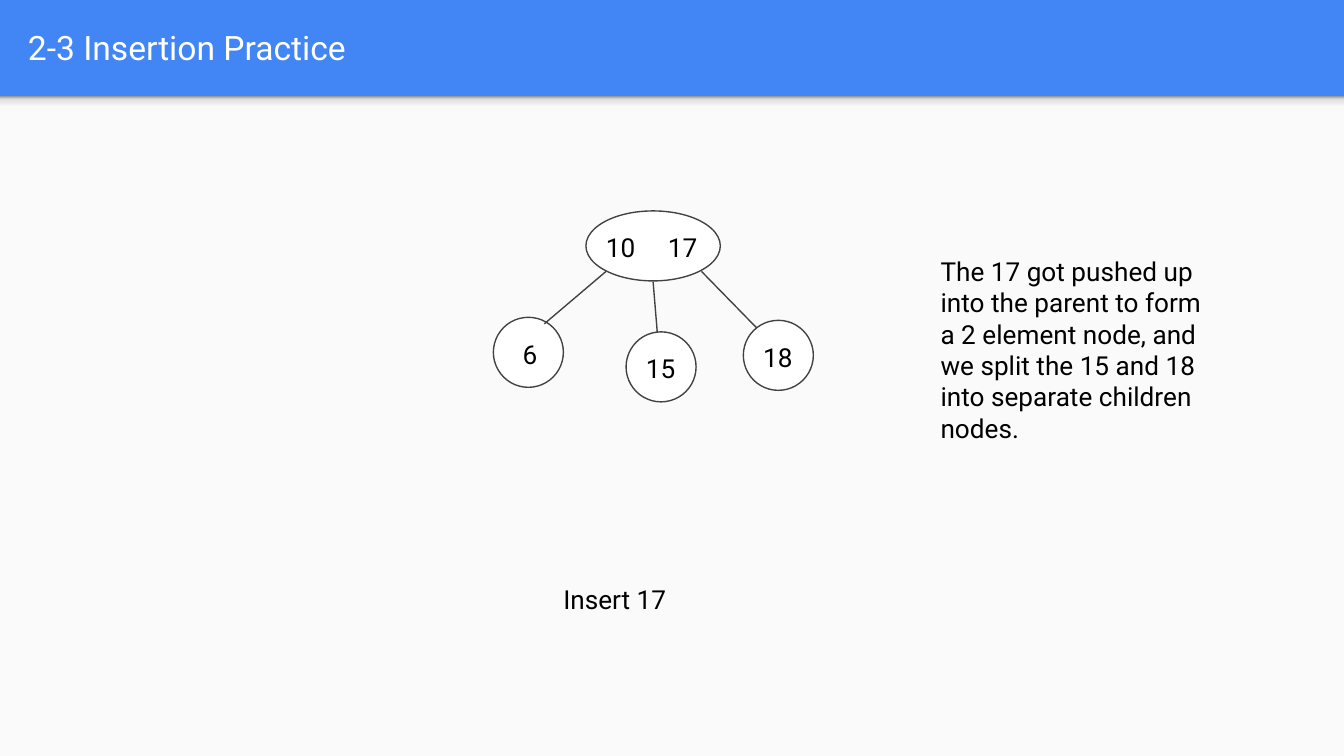
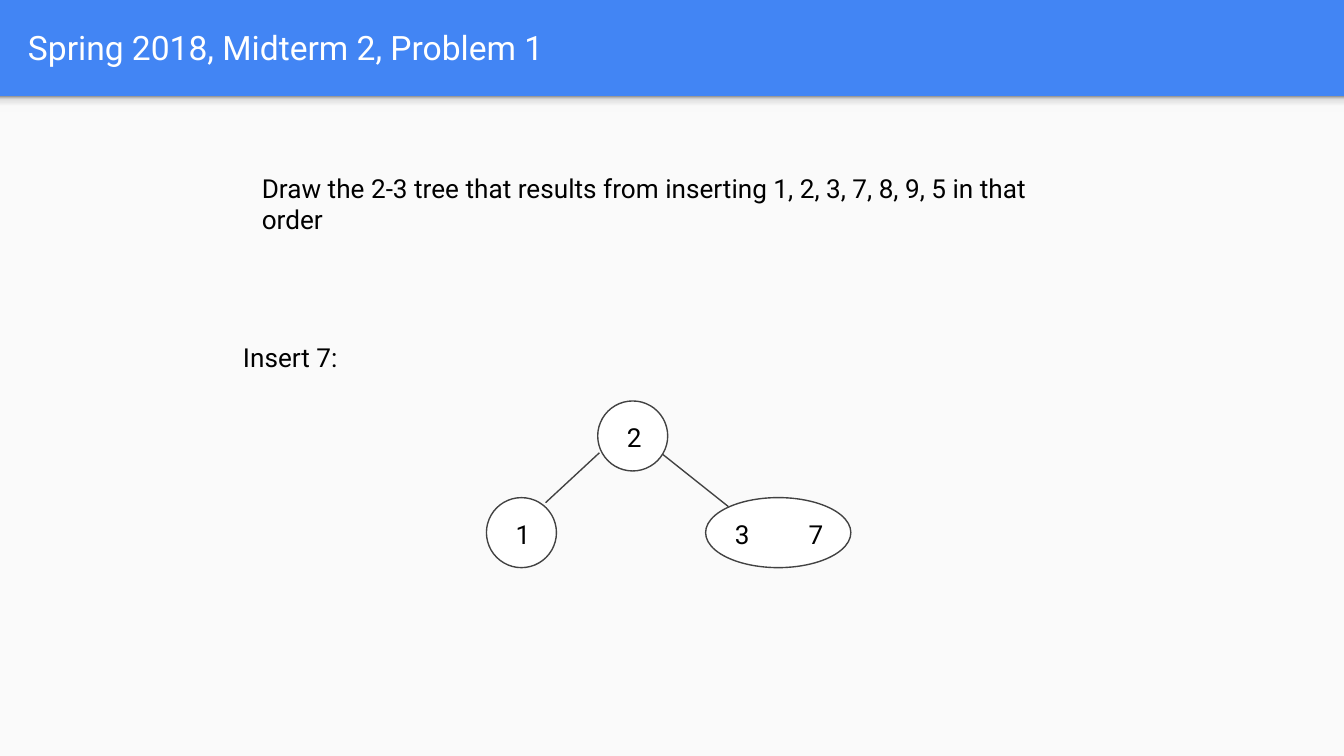
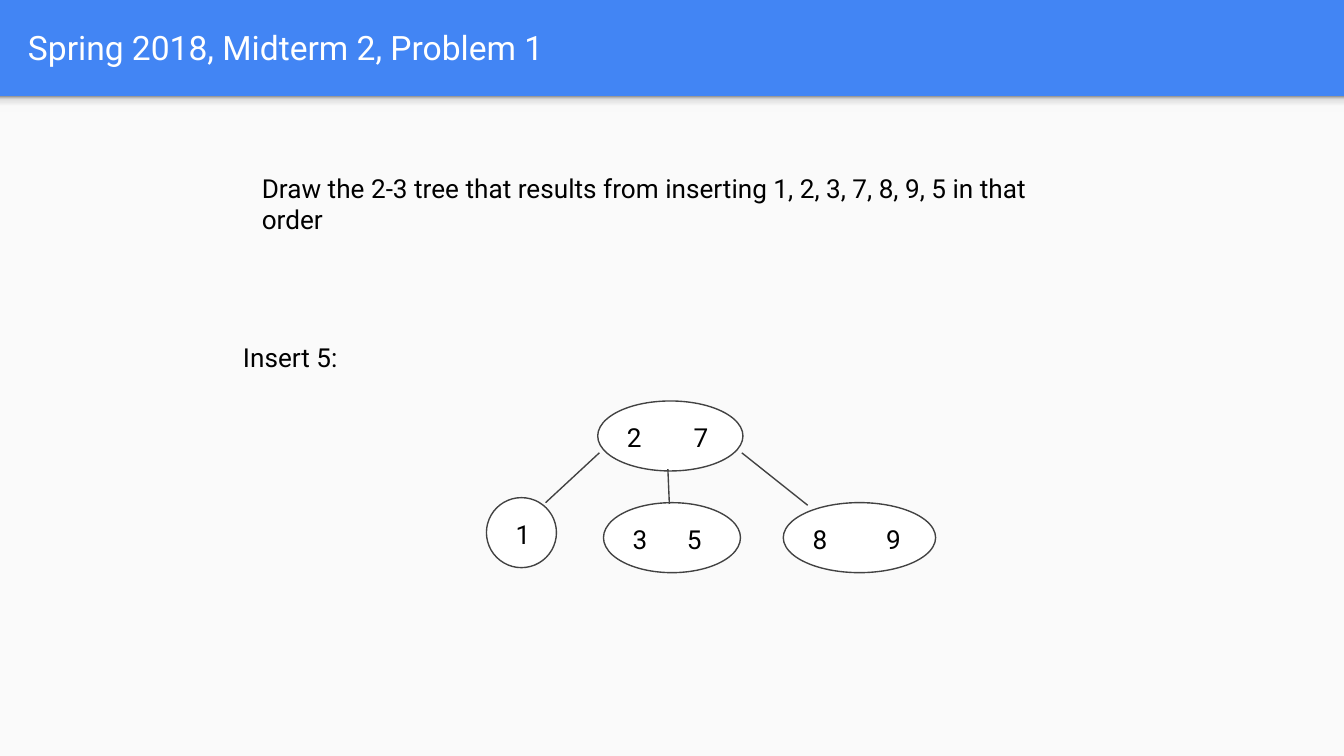
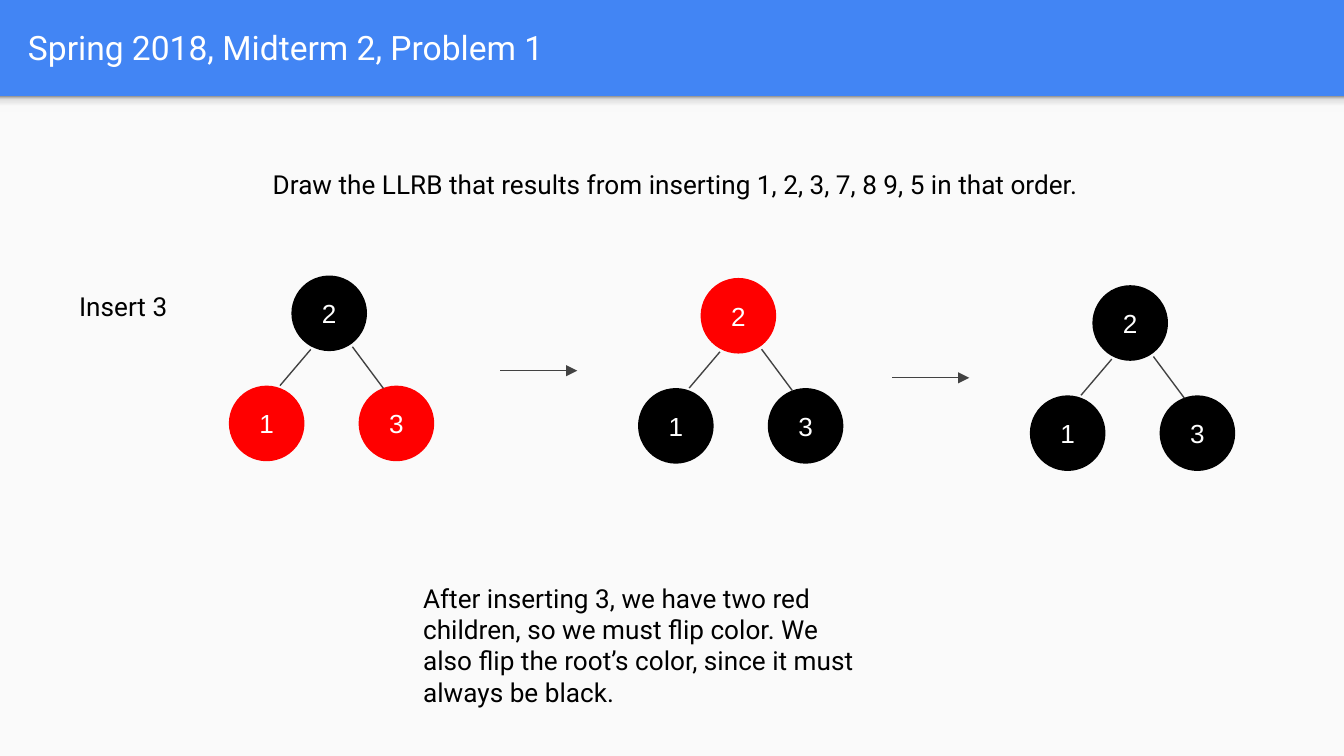
from lxml.etree import SubElement
from pptx import Presentation
from pptx.dml.color import RGBColor
from pptx.enum.shapes import MSO_CONNECTOR, MSO_SHAPE
from pptx.enum.text import MSO_ANCHOR, PP_ALIGN
from pptx.oxml.ns import qn
from pptx.util import Pt

COLORS = {"blue": "4285F4", "panel": "FAFAFA", "line": "424242",
          "white": "FFFFFF", "black": "000000", "red": "FF0000"}
BAND_STOPS = [(0, "F9F9F9"), (36, "F9F9F9"), (80, "DEDEDE"), (100, "999999")]
HEADER = 51.5
NODE = 37.5      # diameter of a one-key node
BALL = 40.5      # diameter of a red or black node


def add_text(slide, text, left, top, width, height, size=14, color="black",
             align=PP_ALIGN.LEFT, anchor=MSO_ANCHOR.TOP, tab=None):
    """Add a wrapped text box; tab is the stop of a second key."""
    s = slide.shapes.add_textbox(Pt(left), Pt(top), Pt(width), Pt(height))
    tf = s.text_frame
    tf.word_wrap = True
    tf.vertical_anchor = anchor
    tf.margin_left = tf.margin_right = tf.margin_top = tf.margin_bottom = Pt(7.2)
    p = tf.paragraphs[0]
    p.text = text
    p.alignment = align
    if tab:
        tabs = SubElement(p._p.get_or_add_pPr(), qn("a:tabLst"))
        SubElement(tabs, qn("a:tab"), pos=str(Pt(tab)), algn="l")
    for r in p.runs:
        r.font.name = "Roboto"
        r.font.size = Pt(size)
        r.font.color.rgb = RGBColor.from_string(COLORS[color])


def add_line(slide, x1, y1, x2, y2, arrow=False):
    c = slide.shapes.add_connector(MSO_CONNECTOR.STRAIGHT, Pt(x1), Pt(y1), Pt(x2), Pt(y2))
    c.line.color.rgb = RGBColor.from_string(COLORS["line"])
    c.line.width = Pt(0.75)
    if arrow:
        SubElement(c.line._get_or_add_ln(), qn("a:tailEnd"), type="triangle")
    SubElement(c._element.spPr, qn("a:effectLst"))


prs = Presentation()
prs.slide_width, prs.slide_height = Pt(720), Pt(405)
bg = prs.slide_master.background.fill
bg.solid()
bg.fore_color.rgb = RGBColor.from_string(COLORS["blue"])

# Header band and title of every slide
EXAM = "Spring 2018, Midterm 2, Problem 1"
slides = []
for title in ["2-3 Insertion Practice", EXAM, EXAM, EXAM]:
    slide = prs.slides.add_slide(prs.slide_layouts[6])
    slides.append(slide)
    panel, shade = [
        slide.shapes.add_shape(MSO_SHAPE.RECTANGLE, 0, Pt(HEADER), Pt(720), Pt(height))
        for height in (405 - HEADER, 8.6)]
    for s in (panel, shade):
        s.shadow.inherit = False
        s.line.fill.background()
    panel.fill.solid()
    panel.fill.fore_color.rgb = RGBColor.from_string(COLORS["panel"])
    shade.fill.gradient()
    shade.fill.gradient_angle = 90
    stops = shade._element.spPr.find(qn("a:gradFill")).find(qn("a:gsLst"))
    stops.clear()
    for percent, color in BAND_STOPS:
        stop = SubElement(stops, qn("a:gs"), pos=str(percent * 1000))
        SubElement(stop, qn("a:srgbClr"), val=color)
    add_text(slide, title, 7.9, 1.4, 694.8, 47.5, size=18, color="white",
             anchor=MSO_ANCHOR.MIDDLE)

practice, insert_7, insert_5, llrb = slides

# Captions
add_text(practice, "Insert 17", 228.2, 305.3, 202.3, 56.9, align=PP_ALIGN.CENTER)
add_text(practice, "The 17 got pushed up into the parent to form a 2 element node, "
         "and we split the 15 and 18 into separate children nodes.",
         496.8, 129.6, 161.3, 48.2)
for slide, step in [(insert_7, "Insert 7:"), (insert_5, "Insert 5:")]:
    add_text(slide, "Draw the 2-3 tree that results from inserting "
             "1, 2, 3, 7, 8, 9, 5 in that order", 133.2, 85, 453.6, 47.5)
    add_text(slide, step, 123.1, 175.7, 119.5, 26.6)
add_text(llrb, "Draw the LLRB that results from inserting 1, 2, 3, 7, 8 9, 5 in that order.",
         139, 82.8, 457.2, 46.8)
add_text(llrb, "Insert 3", 35.3, 148.3, 97.9, 21.6)
add_text(llrb, "After inserting 3, we have two red children, so we must flip color. "
         "We also flip the root’s color, since it must always be black.",
         219.6, 304.6, 249.8, 52.6)

# 2-3 trees: nodes as (keys, left, top, width, tab of second key), then edges
LEFT_LEAF = ("1", 260.6, 266.6, NODE, None)
LEFT_EDGE = (321.1, 242.6, 292.3, 269.3)
trees = [
    (practice,
     [("10\t17", 313.9, 113, 72, 33.2), ("6", 264.3, 170, NODE, None),
      ("15", 335.4, 177.8, NODE, None), ("18", 398.2, 171.6, NODE, None)],
     [(291.6, 173.5, 324.7, 145.4), (405.4, 175.7, 375.8, 145.4),
      (349.9, 151, 352.1, 177.8)]),
    (insert_7,
     [("2", 320.2, 214.8, NODE, None), LEFT_LEAF, ("3\t7", 378, 266.6, 77.8, 39.5)],
     [LEFT_EDGE, (355, 243.4, 390.2, 271.4)]),
    (insert_5,
     [("2\t7", 320.2, 214.8, 77.8, 35.7), LEFT_LEAF,
      ("3\t5", 323.3, 269.3, 73.4, 29), ("8\t9", 419.6, 269.3, 81.6, 39.5)],
     [LEFT_EDGE, (397.4, 242.6, 432.7, 270.7), (357.8, 251.3, 358.6, 270)]),
]
for slide, nodes, edges in trees:
    for keys, left, top, width, tab in nodes:
        s = slide.shapes.add_shape(MSO_SHAPE.OVAL, Pt(left), Pt(top), Pt(width), Pt(NODE))
        s.shadow.inherit = False
        s.fill.solid()
        s.fill.fore_color.rgb = RGBColor.from_string(COLORS["white"])
        s.line.color.rgb = RGBColor.from_string(COLORS["line"])
        s.line.width = Pt(0.75)
        indent = 8.6 if len(keys.split("\t")[0]) == 1 else 3.6
        add_text(slide, keys, left + indent, top + 4, width - indent, 18.7, tab=tab)
    for edge in edges:
        add_line(slide, *edge)

# Red-black trees: the same shape three times, with the colours of nodes 1, 2 and 3
BALL_OFFSETS = [("1", 0, 59), ("2", 33.5, 0), ("3", 69.5, 59)]
EDGE_OFFSETS = [(27.4, 59, 43.9, 39.6), (66.2, 38.2, 82.8, 60.5)]
for x, y, colors in [(122.6, 147.6, ("red", "black", "red")),
                     (341.8, 148.9, ("black", "red", "black")),
                     (551.7, 152.8, ("black", "black", "black"))]:
    for (key, dx, dy), color in zip(BALL_OFFSETS, colors):
        s = llrb.shapes.add_shape(MSO_SHAPE.OVAL, Pt(x + dx), Pt(y + dy), Pt(BALL), Pt(BALL))
        s.shadow.inherit = False
        s.fill.solid()
        s.fill.fore_color.rgb = RGBColor.from_string(COLORS[color])
        s.line.fill.background()
        tf = s.text_frame
        tf.vertical_anchor = MSO_ANCHOR.MIDDLE
        tf.margin_left = tf.margin_right = tf.margin_top = tf.margin_bottom = Pt(7.2)
        tf.text = key
        p = tf.paragraphs[0]
        p.alignment = PP_ALIGN.CENTER
        r = p.runs[0]
        r.font.name = "Arial"
        r.font.size = Pt(14)
        r.font.color.rgb = RGBColor.from_string(COLORS["white"])
    for x1, y1, x2, y2 in EDGE_OFFSETS:
        add_line(llrb, x + x1, y + y1, x + x2, y + y2)
for x, y in [(267.9, 198.6), (477.9, 202.4)]:
    add_line(llrb, x, y, x + 41.4, y, arrow=True)

prs.save("out.pptx")
